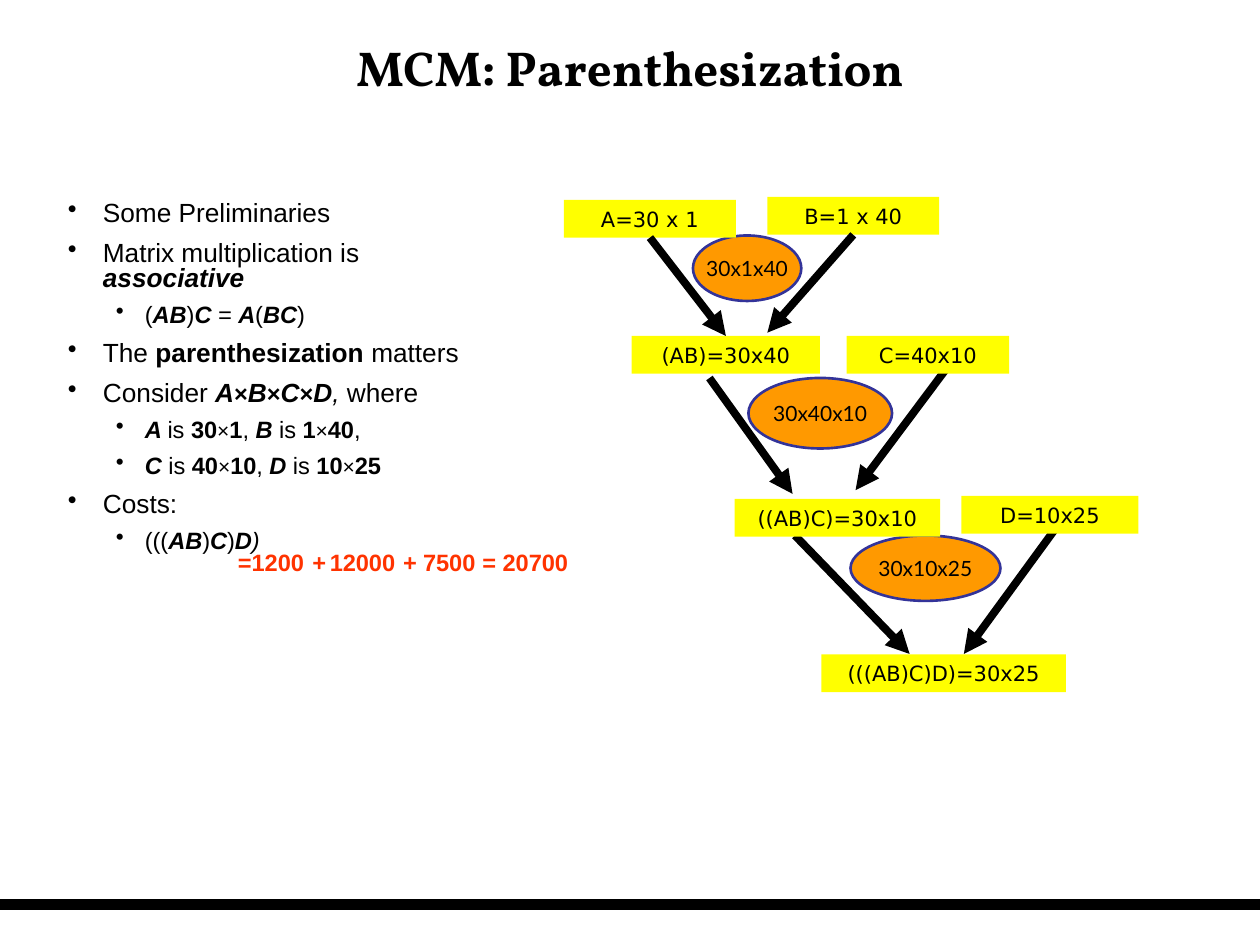
from dataclasses import dataclass

from lxml.etree import SubElement
from pptx import Presentation
from pptx.dml.color import RGBColor
from pptx.enum.shapes import MSO_CONNECTOR, MSO_SHAPE
from pptx.enum.text import MSO_ANCHOR, PP_ALIGN
from pptx.oxml.ns import qn
from pptx.slide import Slide
from pptx.util import Pt

BLACK = RGBColor(0x00, 0x00, 0x00)
YELLOW = RGBColor(0xFF, 0xFF, 0x00)
ORANGE = RGBColor(0xFF, 0x99, 0x00)
INDIGO = RGBColor(0x33, 0x33, 0x99)
RED = RGBColor(0xFF, 0x33, 0x00)

BOTTOM, TOP = 2, 0


@dataclass
class Board:
    slide: Slide
    heading_font: str = "Vollkorn"
    body_font: str = "Arial"
    matrix_font: str = "DejaVu Sans"
    cost_font: str = "Lato"

    def style(self, paragraph, font, size, color=BLACK, bold=False):
        paragraph.font.name = font
        paragraph.font.size = Pt(size)
        paragraph.font.color.rgb = color
        paragraph.font.bold = bold

    def textbox(self, left, top, width, height):
        box = self.slide.shapes.add_textbox(Pt(left), Pt(top), Pt(width), Pt(height))
        box.text_frame.word_wrap = True
        return box.text_frame

    def heading(self, text, *place):
        frame = self.textbox(*place)
        frame.vertical_anchor = MSO_ANCHOR.MIDDLE
        frame.text = text
        frame.paragraphs[0].alignment = PP_ALIGN.CENTER
        self.style(frame.paragraphs[0], self.heading_font, 28, bold=True)

    def term(self, text, *place):
        frame = self.textbox(*place)
        frame.text = text
        self.style(frame.paragraphs[0], self.body_font, 13.5, RED, bold=True)

    def bullets(self, items, *place):
        frame = self.textbox(*place)
        for number, (level, runs) in enumerate(items):
            paragraph = frame.add_paragraph() if number else frame.paragraphs[0]
            size, margin, hanging = ((15, 20, 20), (13.5, 44, 16.5))[level]
            paragraph.level = level
            paragraph.line_spacing = 0.8
            if number:
                paragraph.space_before = Pt(size * 0.55)
            self.style(paragraph, self.body_font, size)
            properties = paragraph._p.get_or_add_pPr()
            properties.set("marL", str(Pt(margin)))
            properties.set("indent", str(-Pt(hanging)))
            bullet = properties.makeelement(qn("a:buChar"), {"char": "•"})
            properties.insert_element_before(bullet, "a:tabLst", "a:defRPr", "a:extLst")
            for text, marks in runs:
                run = paragraph.add_run()
                run.text = text
                if "b" in marks:
                    run.font.bold = True
                if "i" in marks:
                    run.font.italic = True
                if "s" in marks:
                    run.font.size = Pt(size - 1.5)

    def shape(self, preset, fill, text, font, left, top, width, height):
        shape = self.slide.shapes.add_shape(preset, Pt(left), Pt(top), Pt(width), Pt(height))
        shape.shadow.inherit = False
        shape.fill.solid()
        shape.fill.fore_color.rgb = fill
        frame = shape.text_frame
        frame.word_wrap = False
        frame.vertical_anchor = MSO_ANCHOR.MIDDLE
        frame.text = text
        frame.paragraphs[0].alignment = PP_ALIGN.CENTER
        self.style(frame.paragraphs[0], font, 12)
        return shape

    def matrix(self, text, *place):
        box = self.shape(MSO_SHAPE.RECTANGLE, YELLOW, text, self.matrix_font, *place, 21.6)
        box.line.fill.background()
        return box

    def cost(self, text, *place):
        oval = self.shape(MSO_SHAPE.OVAL, ORANGE, text, self.cost_font, *place)
        oval.line.color.rgb = INDIGO
        oval.line.width = Pt(1.5)

    def line(self, start, end, width):
        connector = self.slide.shapes.add_connector(
            MSO_CONNECTOR.STRAIGHT, *map(Pt, start), *map(Pt, end))
        connector.line.color.rgb = BLACK
        connector.line.width = Pt(width)
        SubElement(connector._element.spPr, qn("a:effectLst"))
        return connector

    def arrow(self, start, end):
        connector = self.line(start, end, 4.5)
        SubElement(connector.line._get_or_add_ln(), qn("a:tailEnd"), type="triangle")
        return connector


def main():
    presentation = Presentation()
    presentation.slide_width, presentation.slide_height = Pt(720), Pt(540)
    board = Board(presentation.slides.add_slide(presentation.slide_layouts[6]))

    board.line((0, 517), (720, 517), 6)
    board.heading("MCM: Parenthesization", 3.6, 5, 712.8, 66.2)

    associativity = [("(", ""), ("AB", "bi"), (")", ""), ("C", "bi"), (" = ", "i"),
                     ("A", "bi"), ("(", ""), ("BC", "bi"), (")", "")]
    product = [("Consider ", ""), ("A", "bi"), ("×", "bs"), ("B", "bi"), ("×", "bs"),
               ("C", "bi"), ("×", "bs"), ("D", "bi"), (", ", "i"), ("where", "")]

    def dimensions(name, rows, columns):
        return [(f"{name} ", "bi"), ("is ", ""), (rows, "b"), ("×", "s"), (columns, "b")]

    board.bullets([
        (0, [("Some Preliminaries", "")]),
        (0, [("Matrix multiplication is ", ""), ("associative", "bi")]),
        (1, associativity),
        (0, [("The ", ""), ("parenthesization", "b"), (" matters", "")]),
        (0, product),
        (1, dimensions("A", "30", "1") + [(", ", "")]
            + dimensions("B", "1", "40") + [(",", "")]),
        (1, dimensions("C", "40", "10") + [(", ", "")] + dimensions("D", "10", "25")),
        (0, [("Costs:", "")]),
        (1, [("(((", ""), ("AB", "bi"), (")", ""), ("C", "bi"), (")", ""),
             ("D", "bi"), (")", "i")]),
    ], 31.7, 112.3, 265, 333.4)

    for start, end in [
        ((454.3, 306), (519.8, 373.7)),
        ((603.4, 301.7), (550.8, 373.7)),
        ((405.4, 216), (452.9, 282.2)),
        ((540, 211.7), (488.9, 280.1)),
    ]:
        board.arrow(start, end)

    board.cost("30x1x40", 396, 134.6, 61.9, 37.4)
    board.cost("30x40x10", 427.7, 216, 82.1, 40.3)
    board.cost("30x10x25", 486, 306, 85.7, 37.4)

    a = board.matrix("A=30 x 1", 322.3, 114.2, 98.2)
    b = board.matrix("B=1 x 40", 438.5, 112.6, 98.2)
    ab = board.matrix("(AB)=30x40", 361, 192, 107.6)
    board.matrix("C=40x10", 483.8, 192, 92.9)
    board.matrix("((AB)C)=30x10", 419.8, 285.1, 117.4)
    board.matrix("D=10x25", 549.4, 283.4, 101.2)
    board.matrix("(((AB)C)D)=30x25", 469.4, 373.9, 139.7)

    a_to_ab = board.arrow((369.4, 136.1), (412.6, 192))
    a_to_ab.begin_connect(a, BOTTOM)
    a_to_ab.end_connect(ab, TOP)
    b_to_ab = board.arrow((486, 134.6), (438.5, 190.1))
    b_to_ab.begin_connect(b, BOTTOM)

    for text, left, width in [
        ("=1200", 128.9, 61.9),
        ("+", 171.4, 18),
        ("12000", 181.4, 59.8),
        ("+", 223.2, 18),
        ("7500", 234.7, 45.4),
        ("= 20700", 268.6, 72),
    ]:
        board.term(text, left, 309.6, width, 23.8)

    presentation.save("out.pptx")


if __name__ == "__main__":
    main()
